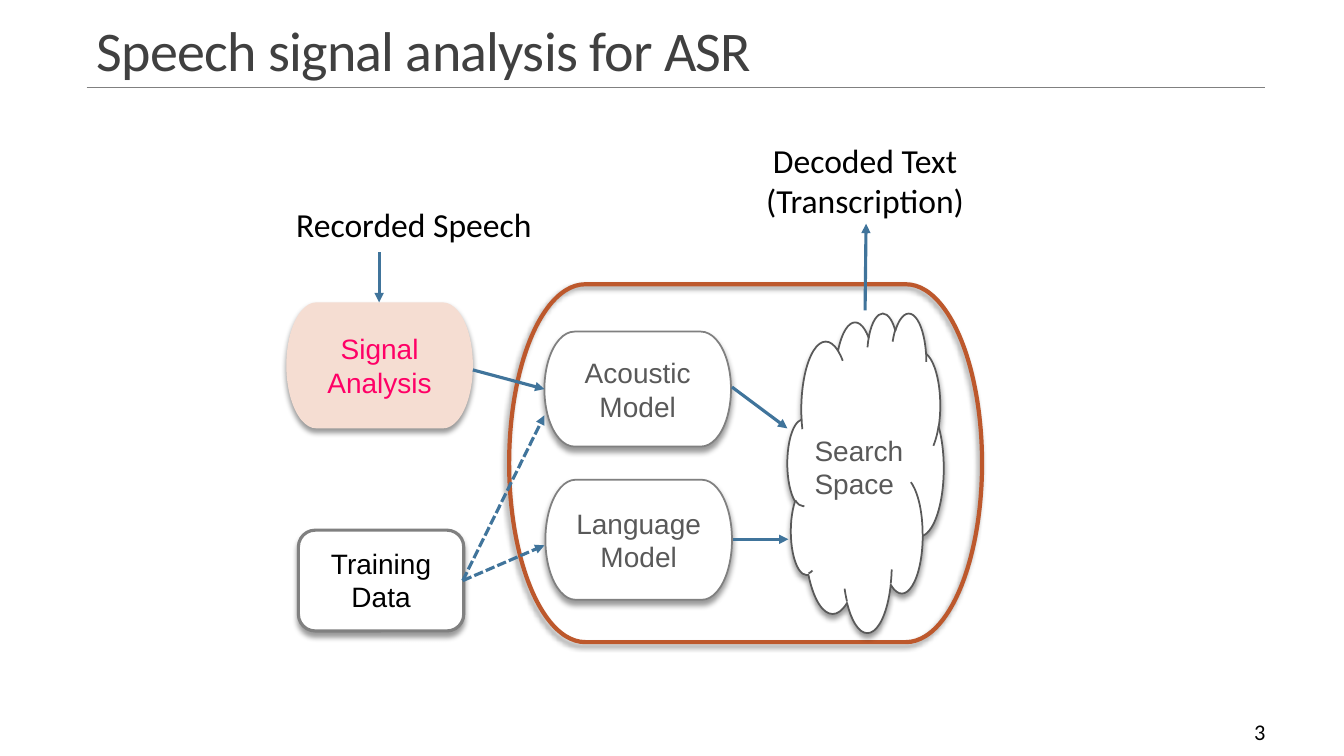
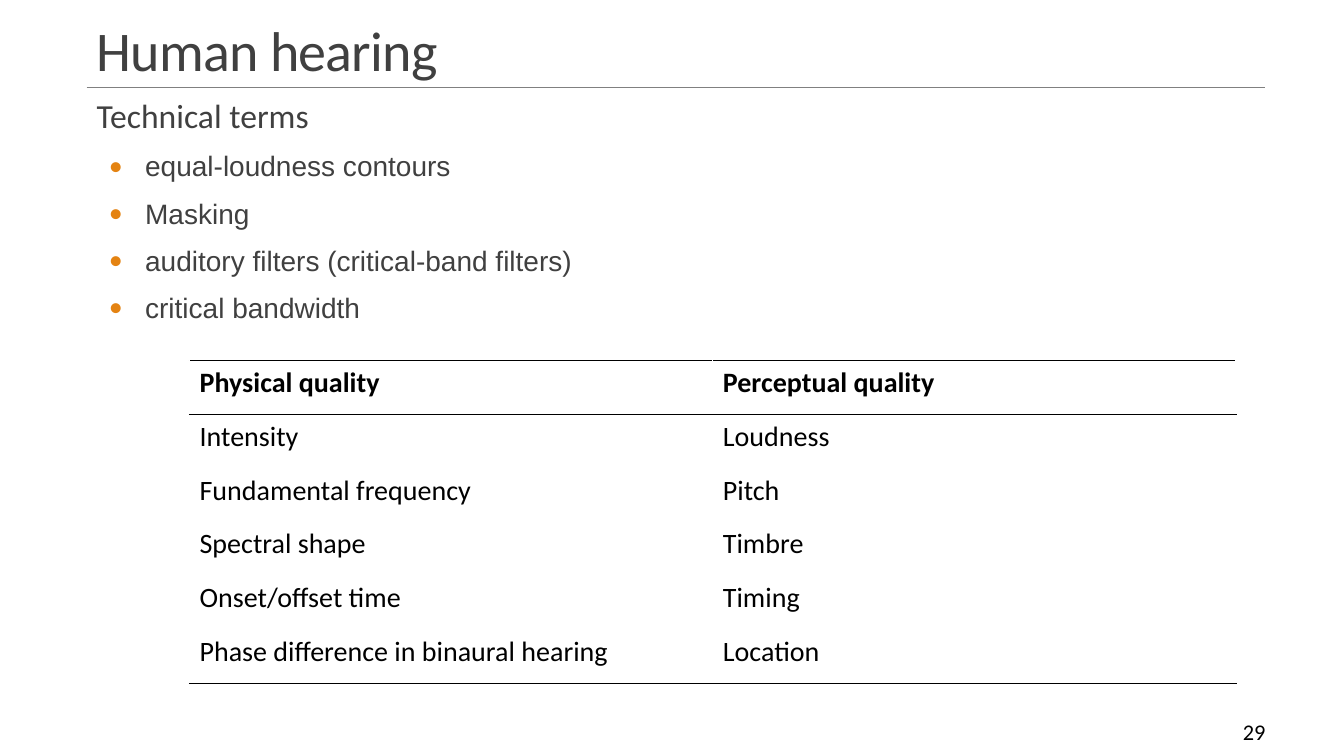
from lxml import etree
from pptx import Presentation
from pptx.dml.color import RGBColor
from pptx.enum.dml import MSO_LINE
from pptx.enum.shapes import MSO_CONNECTOR, MSO_SHAPE
from pptx.enum.text import MSO_ANCHOR, PP_ALIGN
from pptx.oxml.ns import qn
from pptx.util import Inches, Pt

PILL, ROUND, CLOUD = (MSO_SHAPE.FLOWCHART_TERMINATOR,
                      MSO_SHAPE.ROUNDED_RECTANGLE, MSO_SHAPE.CLOUD)
LEFT, MID, RIGHT = PP_ALIGN.LEFT, PP_ALIGN.CENTER, PP_ALIGN.RIGHT
TOP, CENTER, BOTTOM = MSO_ANCHOR.TOP, MSO_ANCHOR.MIDDLE, MSO_ANCHOR.BOTTOM
STRAIGHT, DASH = MSO_CONNECTOR.STRAIGHT, MSO_LINE.SQUARE_DOT

BLACK = RGBColor(0x00, 0x00, 0x00)
WHITE = RGBColor(0xFF, 0xFF, 0xFF)
GRAY = RGBColor(0x80, 0x80, 0x80)
DARK = RGBColor(0x40, 0x40, 0x40)
SLATE = RGBColor(0x59, 0x59, 0x59)
BLUE = RGBColor(0x40, 0x74, 0x9B)
RUST = RGBColor(0xBD, 0x58, 0x2C)
PEACH = RGBColor(0xF5, 0xDD, 0xD2)
PINK = RGBColor(0xFF, 0x00, 0x66)
ORANGE = RGBColor(0xE4, 0x83, 0x12)

# Text styles
TITLE = {"name": "Calibri", "size": Pt(40), "color": DARK}
NUMBER = {"name": "Calibri", "size": Pt(16), "color": BLACK}
LABEL = {"name": "Calibri", "size": Pt(24), "color": BLACK}
HEAD = {**LABEL, "color": DARK}
ITEM = {"name": "Arial", "size": Pt(20), "color": DARK}
CELL = {"name": "Calibri", "size": Pt(20), "color": BLACK}

# Diagram: shape, place, fill, line colour, line width, shadow angle, text, text colour
NODES = [
    (PILL, (2.84, 3, 1.85, 1.25), PEACH, None, 0, 90, "Signal Analysis", PINK),
    (ROUND, (2.96, 5.26, 1.64, 1), WHITE, GRAY, 2.25, 90, "", None),
    (PILL, (5.05, 2.82, 4.69, 3.55), None, RUST, 3, 135, "", None),
    (PILL, (5.4, 3.29, 1.85, 1.14), WHITE, GRAY, 1.25, 90, "Acoustic Model", SLATE),
    (PILL, (5.41, 4.76, 1.85, 1.19), WHITE, GRAY, 1.25, 90, "Language Model", SLATE),
    (CLOUD, (7.81, 3.1, 1.55, 3.17), WHITE, SLATE, 1.25, 90, "", None),
]
# Arrows: start, end, dashed
ARROWS = [
    ((4.69, 3.67), (5.4, 3.86), False),
    ((4.59, 5.76), (5.4, 4.12), True),
    ((4.59, 5.76), (5.4, 5.41), True),
    ((3.76, 2.5), (3.76, 3), False),
    ((7.26, 3.84), (7.81, 4.25), False),
    ((7.27, 5.35), (7.82, 5.35), False),
    ((8.58, 3.08), (8.59, 2.22), False),
]
# Labels: text, place, style, alignment
LABELS = [
    ("Training Data", (2.96, 5.37, 1.64, 0.77), {**ITEM, "color": BLACK}, MID),
    ("Search Space", (7.98, 4.25, 1.12, 0.77), {**ITEM, "color": SLATE}, LEFT),
    ("Recorded Speech", (2.84, 1.97, 2.74, 0.5), LABEL, LEFT),
    ("Decoded Text\n(Transcription)", (7.21, 1.34, 2.74, 0.91), LABEL, MID),
]

TERMS = ["equal-loudness contours", "Masking",
         "auditory filters (critical-band filters)", "critical bandwidth"]
QUALITIES = [
    ("Physical quality", "Perceptual quality"),
    ("Intensity", "Loudness"),
    ("Fundamental frequency", "Pitch"),
    ("Spectral shape", "Timbre"),
    ("Onset/offset time", "Timing"),
    ("Phase difference in binaural hearing", "Location"),
]


def node(parent, tag, **attrs):
    part = etree.SubElement(parent, qn(tag))
    for key, val in attrs.items():
        part.set(key, str(val))
    return part


def place(box):
    return [Inches(v) for v in box]


def style(font, look):
    for key, val in look.items():
        if key == "color":
            font.color.rgb = val
        else:
            setattr(font, key, val)


def write(frame, text, look, align=LEFT, anchor=TOP):
    frame.word_wrap = True
    frame.vertical_anchor = anchor
    for i, line in enumerate(text.split("\n")):
        para = frame.paragraphs[0] if i == 0 else frame.add_paragraph()
        para.alignment = align
        run = para.add_run()
        run.text = line
        style(run.font, look)
    return frame


def label(slide, text, box, look, align=LEFT, anchor=TOP):
    frame = slide.shapes.add_textbox(*place(box)).text_frame
    return write(frame, text, look, align, anchor)


def shade(shape, angle):
    shape.shadow.inherit = False
    glow = node(shape.shadow._element.find(qn("a:effectLst")), "a:outerShdw",
                blurRad=Pt(4), dist=Pt(3), dir=angle * 60000, rotWithShape=0)
    node(node(glow, "a:srgbClr", val=BLACK), "a:alpha", val=40000)


def rule(slide, start, end, color, width):
    line = slide.shapes.add_connector(STRAIGHT, *place(start + end))
    line.line.color.rgb = color
    line.line.width = Pt(width)
    node(line._element.spPr, "a:effectLst")
    return line.line


def arrow(slide, start, end, dashed):
    line = rule(slide, start, end, BLUE, 2.25)
    if dashed:
        line.dash_style = DASH
    node(line._get_or_add_ln(), "a:tailEnd", type="triangle")


def block(slide, kind, box, fill, edge, width, angle, text, color):
    shape = slide.shapes.add_shape(kind, *place(box))
    if fill is None:
        shape.fill.background()
    else:
        shape.fill.solid()
        shape.fill.fore_color.rgb = fill
    if edge is None:
        shape.line.fill.background()
    else:
        shape.line.color.rgb = edge
        shape.line.width = Pt(width)
    shade(shape, angle)
    if text:
        write(shape.text_frame, text, {**ITEM, "color": color}, MID, CENTER)


def page(deck, title, number):
    slide = deck.slides.add_slide(deck.slide_layouts[6])
    rule(slide, (0.86, 0.87), (12.55, 0.87), GRAY, 0.5)
    para = label(slide, title, (0.86, 0.13, 11.7, 0.74), TITLE,
                 anchor=BOTTOM).paragraphs[0]
    para.line_spacing = 0.85
    para.runs[0].font._element.set("spc", "-50")
    label(slide, str(number), (11.22, 7.06, 1.43, 0.4), NUMBER, RIGHT, CENTER)
    return slide


def listing(slide, head, items):
    frame = label(slide, head, (0.86, 0.94, 11.7, 2.5), HEAD)
    frame.margin_left = frame.margin_right = 0
    for i, text in enumerate([head] + items):
        if i:
            para = frame.add_paragraph()
            run = para.add_run()
            run.text = text
            style(run.font, ITEM)
            para.space_before = Pt(6)
        else:
            para = frame.paragraphs[0]
        para.line_spacing = 0.9
        para.space_after = Pt(6)
        props = para._p.get_or_add_pPr()
        props.set("marL", str(Inches(0.58 if i else 0.1)))
        if i:
            props.set("indent", str(Inches(-0.36)))
            node(node(props, "a:buClr"), "a:srgbClr", val=ORANGE)
            node(props, "a:buFont", typeface="Calibri")
            node(props, "a:buChar", char="•")


def border(cell, side, color):
    line = node(cell._tc.get_or_add_tcPr(), "a:ln" + side, w=Pt(1))
    node(node(line, "a:solidFill"), "a:srgbClr", val=color)


def grid(slide, rows):
    last = len(rows) - 1
    table = slide.shapes.add_table(len(rows), len(rows[0]),
                                   *place((1.88, 3.58, 10.38, 3.2))).table
    table.first_row = table.horz_banding = False
    for r, row in enumerate(rows):
        for c, text in enumerate(row):
            cell = table.cell(r, c)
            write(cell.text_frame, text, {**CELL, "bold": r == 0})
            edges = {"L": WHITE, "R": WHITE,
                     "T": BLACK if r < 2 else WHITE,
                     "B": BLACK if r in (0, last) else WHITE}
            for side, color in edges.items():
                border(cell, side, color)
            cell.fill.background()


def main():
    deck = Presentation()
    deck.slide_width, deck.slide_height = Inches(13.33), Inches(7.5)

    # Recognition diagram
    slide = page(deck, "Speech signal analysis for ASR", 3)
    for item in NODES:
        block(slide, *item)
    for item in ARROWS:
        arrow(slide, *item)
    for item in LABELS:
        label(slide, *item)

    # Hearing terms and table
    slide = page(deck, "Human hearing", 29)
    listing(slide, "Technical terms", TERMS)
    grid(slide, QUALITIES)

    deck.save("out.pptx")


if __name__ == "__main__":
    main()
